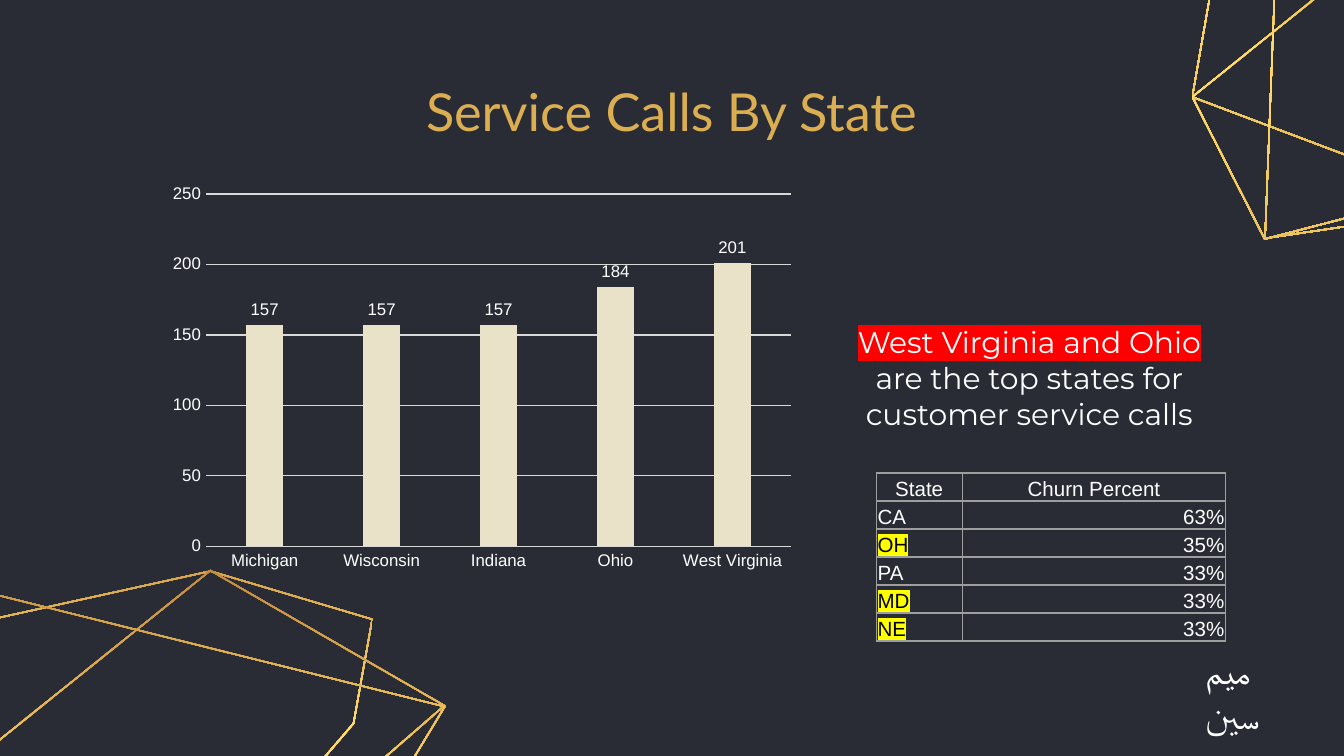
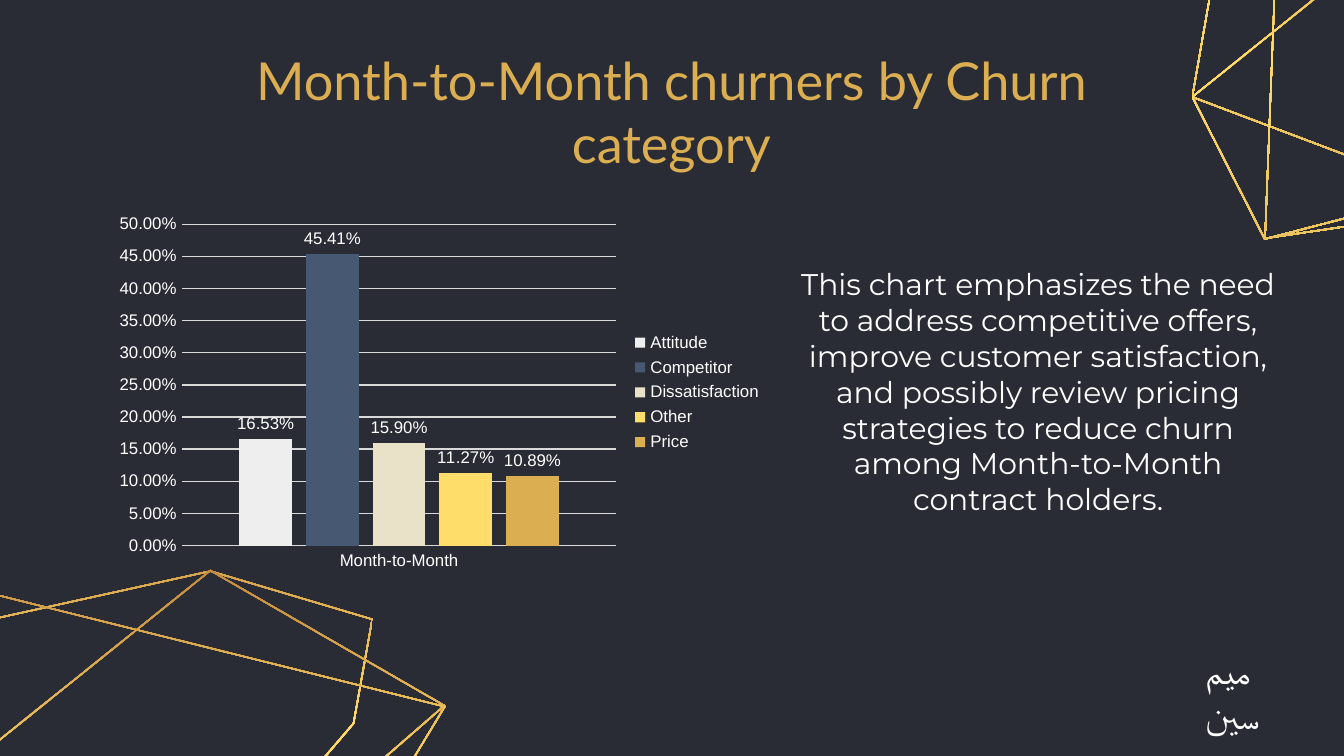
import copy
import math

import pptx
import pptx.chart.data
import pptx.dml.color
import pptx.enum.chart
import pptx.enum.text
import pptx.oxml
import pptx.oxml.ns
import pptx.util

Inches = pptx.util.Inches
Pt = pptx.util.Pt
qn = pptx.oxml.ns.qn
ALIGN = pptx.enum.text.PP_ALIGN
ANCHOR = pptx.enum.text.MSO_ANCHOR
AUTO_SIZE = pptx.enum.text.MSO_AUTO_SIZE
TICK_NONE = pptx.enum.chart.XL_TICK_MARK.NONE

NIGHT, WHITE, GOLD, SAND = "292C35", "FFFFFF", "DCAE52", "E9E2C9"
BRONZE, YELLOW, GRID, BORDER = "AF7132", "FFDD6B", "D9D9D9", "9E9E9E"
TILT = 31.4
STRAND = 0.01
CLUSTER_SHIFTS = [(0, 0), (9.94, -5.64)]
WEB_RINGS = [
    ((0.73, 5.41), [(-1.07, 6.36), (-0.79, 4.76), (1.57, 4.24),
                    (2.78, 4.6), (2.64, 5.38), (1.1, 7.18)]),
    ((0.96, 6.08), [(-0.53, 7.42), (-1.07, 6.36), (1.57, 4.24),
                    (3.32, 5.25), (1.1, 7.18)]),
    ((0.76, 5.95), [(-0.53, 7.42), (-0.41, 4.32), (3.32, 5.25), (2.48, 6.64)]),
]


def rgb(value):
    return pptx.dml.color.RGBColor.from_string(value)


def inches(box):
    return [Inches(length) for length in box]


def xml(tag, attributes, content=""):
    return pptx.oxml.parse_xml(
        f'<a:{tag} {pptx.oxml.ns.nsdecls("a")} {attributes}>{content}</a:{tag}>')


def set_font(font, size, color=WHITE, name="Arial"):
    font.size = Pt(size)
    font.name = name
    font.color.rgb = rgb(color)


def write(frame, text, size=16, color=WHITE, font="Montserrat",
          align=None, highlight=None):
    paragraph = frame.paragraphs[0]
    paragraph.alignment = align
    run = paragraph.add_run()
    run.text = text
    set_font(run.font, size, color, font)
    properties = run.font.fill._xPr
    properties.find(qn("a:latin")).addnext(xml("cs", f'typeface="{font}"'))
    if highlight:
        properties.find(qn("a:solidFill")).addnext(
            xml("highlight", "", f'<a:srgbClr val="{highlight}"/>'))


def inset(points, depth):
    def normal(start, end):
        dx, dy = end[0] - start[0], end[1] - start[1]
        length = math.hypot(dx, dy)
        return -dy / length, dx / length

    inner = []
    for index, point in enumerate(points):
        ax, ay = normal(points[index - 1], point)
        bx, by = normal(point, points[(index + 1) % len(points)])
        reach = depth / (1 + ax * bx + ay * by)
        inner.append((point[0] + reach * (ax + bx), point[1] + reach * (ay + by)))
    return inner


def turn(point, center, degrees):
    cos, sin = math.cos(math.radians(degrees)), math.sin(math.radians(degrees))
    dx, dy = point[0] - center[0], point[1] - center[1]
    return center[0] + dx * cos - dy * sin, center[1] + dx * sin + dy * cos


def add_ring(slide, center, corners, shift):
    def trace(points):
        turned = [turn(point, center, -TILT) for point in points]
        return [inches((x + shift[0], y + shift[1])) for x, y in turned]

    outer, inner = trace(corners), trace(inset(corners, STRAND))
    builder = slide.shapes.build_freeform(*outer[0])
    builder.add_line_segments(outer[1:], close=True)
    builder.move_to(*inner[0])
    builder.add_line_segments(inner[1:], close=True)
    ring = builder.convert_to_shape()
    ring.rotation = TILT
    ring.shadow.inherit = False
    ring.line.fill.background()
    ring.fill.gradient()
    ring.fill.gradient_angle = 270
    next(ring.element.iter(qn("a:gradFill"))).set("rotWithShape", "0")
    stops = next(ring.element.iter(qn("a:gsLst")))
    stops.append(copy.deepcopy(stops[-1]))
    for stop, color, position in zip(ring.fill.gradient_stops,
                                     (BRONZE, YELLOW, GOLD), (0, 0.5, 1)):
        stop.color.rgb = rgb(color)
        stop.position = position
    return ring


def decorate_layout(layout, slide):
    layout.background.fill.solid()
    layout.background.fill.fore_color.rgb = rgb(NIGHT)
    rings = [add_ring(slide, center, corners, shift)
             for shift in CLUSTER_SHIFTS for center, corners in WEB_RINGS]
    for number, ring in enumerate(rings, 20):
        ring.element.nvSpPr.cNvPr.set("id", str(number))
        layout.shapes.element.append(ring.element)


def add_title(slide, text, box):
    title = slide.shapes.title
    title.left, title.top, title.width, title.height = inches(box)
    frame = title.text_frame
    frame.auto_size = AUTO_SIZE.NONE
    frame.vertical_anchor = ANCHOR.MIDDLE
    frame.margin_left = frame.margin_right = Inches(0.1)
    frame.margin_top = frame.margin_bottom = Inches(0.1)
    write(frame, text, size=28, color=GOLD, font="Lato", align=ALIGN.CENTER)


def add_text(slide, box, grow=True):
    frame = slide.shapes.add_textbox(*inches(box)).text_frame
    frame.word_wrap = True
    if grow:
        frame.auto_size = AUTO_SIZE.SHAPE_TO_FIT_TEXT
    else:
        frame.vertical_anchor = ANCHOR.MIDDLE
        frame.margin_top = frame.margin_bottom = Inches(0.1)
    return frame


def add_signature(slide):
    write(add_text(slide, (8.87, 4.77, 0.94, 0.44)), "ميم سين", size=20, font="Lato")


def add_columns(slide, box, categories, series, top, step,
                number_format="General", legend=False):
    data = pptx.chart.data.CategoryChartData(number_format=number_format)
    data.categories = categories
    for name, values, _ in series:
        data.add_series(name, values)
    chart = slide.shapes.add_chart(
        pptx.enum.chart.XL_CHART_TYPE.COLUMN_CLUSTERED, *inches(box), data).chart
    set_font(chart.font, 10)
    chart.has_title = False
    chart.has_legend = legend
    if legend:
        chart.legend.position = pptx.enum.chart.XL_LEGEND_POSITION.RIGHT
        chart.legend.include_in_layout = False
        set_font(chart.legend.font, 9)

    names, scale = chart.category_axis, chart.value_axis
    for axis in (names, scale):
        axis.major_tick_mark = axis.minor_tick_mark = TICK_NONE
        set_font(axis.tick_labels.font, 9)
    scale.minimum_scale, scale.maximum_scale, scale.major_unit = 0, top, step
    scale.tick_labels.number_format = number_format
    scale.tick_labels.number_format_is_linked = False
    scale.format.line.fill.background()
    for line in (names.format.line, scale.major_gridlines.format.line):
        line.color.rgb = rgb(GRID)
        line.width = Pt(0.75)

    plot = chart.plots[0]
    plot.vary_by_categories = False
    plot.gap_width, plot.overlap = 219, -27
    for columns, (_, _, color) in zip(plot.series, series):
        columns.invert_if_negative = False
        columns.format.fill.solid()
        columns.format.fill.fore_color.rgb = rgb(color)
        labels = columns.data_labels
        labels.show_value = True
        labels.position = pptx.enum.chart.XL_LABEL_POSITION.OUTSIDE_END
        labels.number_format = number_format
        labels.number_format_is_linked = False
        set_font(labels.font, 9)


def set_borders(cell):
    properties = cell._tc.get_or_add_tcPr()
    for index, side in enumerate(("lnL", "lnR", "lnT", "lnB")):
        properties.insert(index, xml(
            side, f'w="{Pt(0.75)}"',
            f'<a:solidFill><a:srgbClr val="{BORDER}"/></a:solidFill>'))


def add_churn_table(slide, box, widths, rows, marked):
    table = slide.shapes.add_table(len(rows), len(widths), *inches(box)).table
    table.first_row = table.horz_banding = False
    for column, width in zip(table.columns, widths):
        column.width = Inches(width)
    for r, row in enumerate(rows):
        table.rows[r].height = Inches(box[3] / len(rows))
        for c, text in enumerate(row):
            cell = table.cell(r, c)
            cell.fill.background()
            cell.vertical_anchor = ANCHOR.BOTTOM
            cell.margin_left = cell.margin_right = cell.margin_top = Inches(0.01)
            cell.margin_bottom = 0
            set_borders(cell)
            align = ALIGN.CENTER if r == 0 else (ALIGN.LEFT, ALIGN.RIGHT)[c]
            hit = text in marked
            write(cell.text_frame, text, size=11, font="Arial", align=align,
                  color="000000" if hit else WHITE,
                  highlight="FFFF00" if hit else None)


def build_service_calls(slide):
    add_title(slide, "Service Calls By State", (2.18, 0.59, 5.63, 0.47))
    finding = add_text(slide, (6.13, 2.62, 3.06, 0.38), grow=False)
    write(finding, "West Virginia and Ohio ", align=ALIGN.CENTER, highlight="FF0000")
    write(finding, "are the top states for customer service calls", align=ALIGN.CENTER)
    add_signature(slide)
    add_columns(slide, (1.19, 1.31, 4.79, 3),
                ["Michigan", "Wisconsin", "Indiana", "Ohio", "West Virginia"],
                [("Series 1", (157, 157, 157, 184, 201), SAND)], 250, 50)
    add_churn_table(slide, (6.52, 3.52, 2.6, 1.25), (0.64, 1.96),
                    [("State", "Churn Percent"), ("CA", "63%"), ("OH", "35%"),
                     ("PA", "33%"), ("MD", "33%"), ("NE", "33%")],
                    {"OH", "MD", "NE"})


def build_monthly_churners(slide):
    add_title(slide, "Month-to-Month churners by Churn category",
              (1.47, 0.59, 7.05, 0.47))
    add_signature(slide)
    write(add_text(slide, (5.78, 1.93, 3.89, 1.99)),
          "This chart emphasizes the need to address competitive offers, improve "
          "customer satisfaction, and possibly review pricing strategies to reduce "
          "churn among Month-to-Month contract holders.", align=ALIGN.CENTER)
    add_columns(slide, (0.79, 1.54, 4.98, 2.76), ["Month-to-Month"],
                [("Attitude", [0.1653], "EEEEEE"),
                 ("Competitor", [0.4541], "475972"),
                 ("Dissatisfaction", [0.159], SAND),
                 ("Other", [0.1127], YELLOW),
                 ("Price", [0.1089], GOLD)],
                0.5, 0.05, number_format="0.00%", legend=True)


def main():
    deck = pptx.Presentation()
    deck.slide_width = Inches(10)
    deck.slide_height = deck.slide_width * 9 // 16
    layout = deck.slide_layouts[5]
    calls, churners = [deck.slides.add_slide(layout) for _ in range(2)]
    decorate_layout(layout, calls)
    build_service_calls(calls)
    build_monthly_churners(churners)
    deck.save("out.pptx")


if __name__ == "__main__":
    main()
